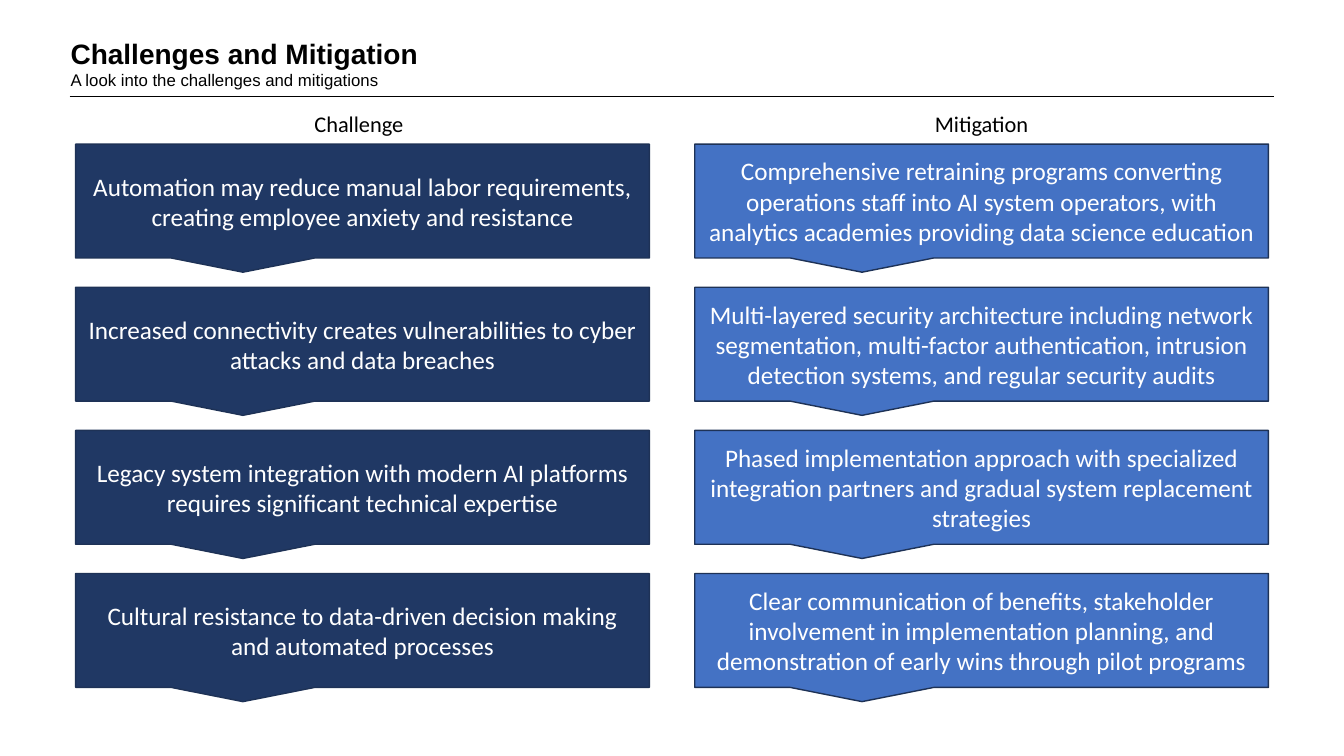
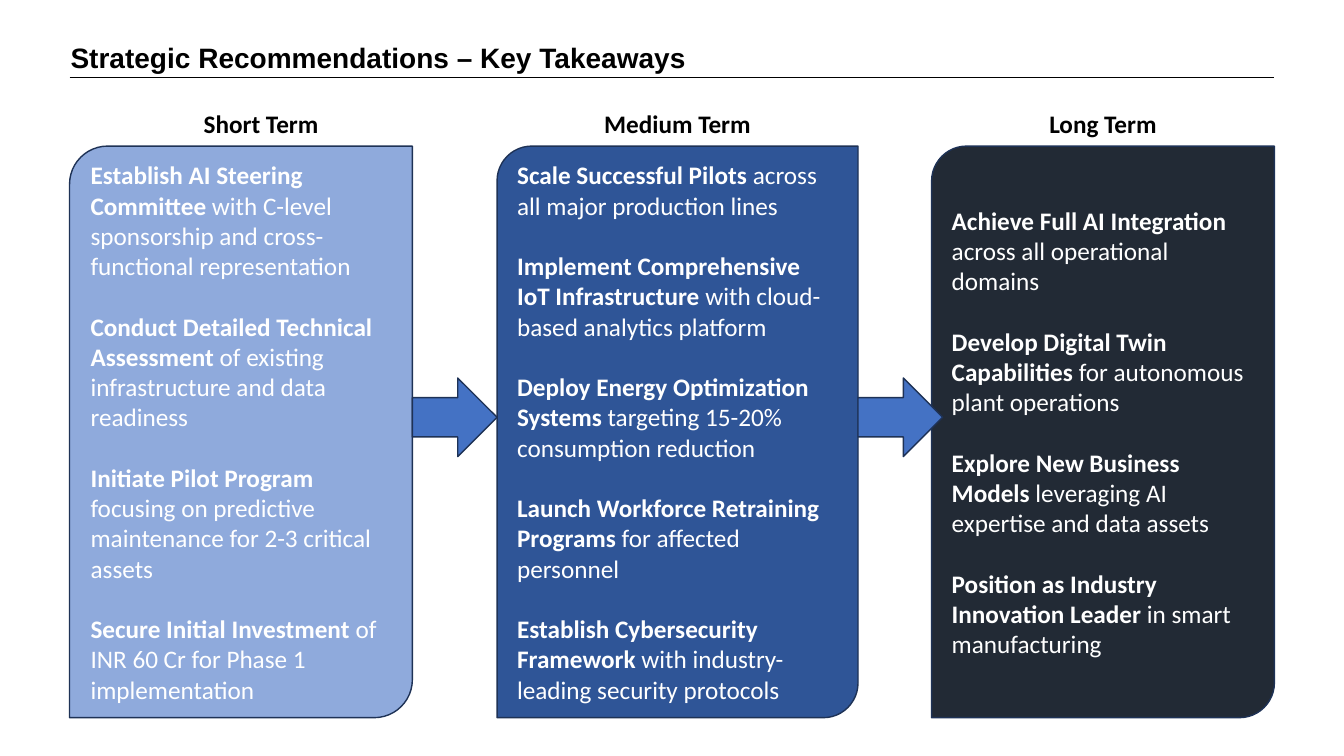
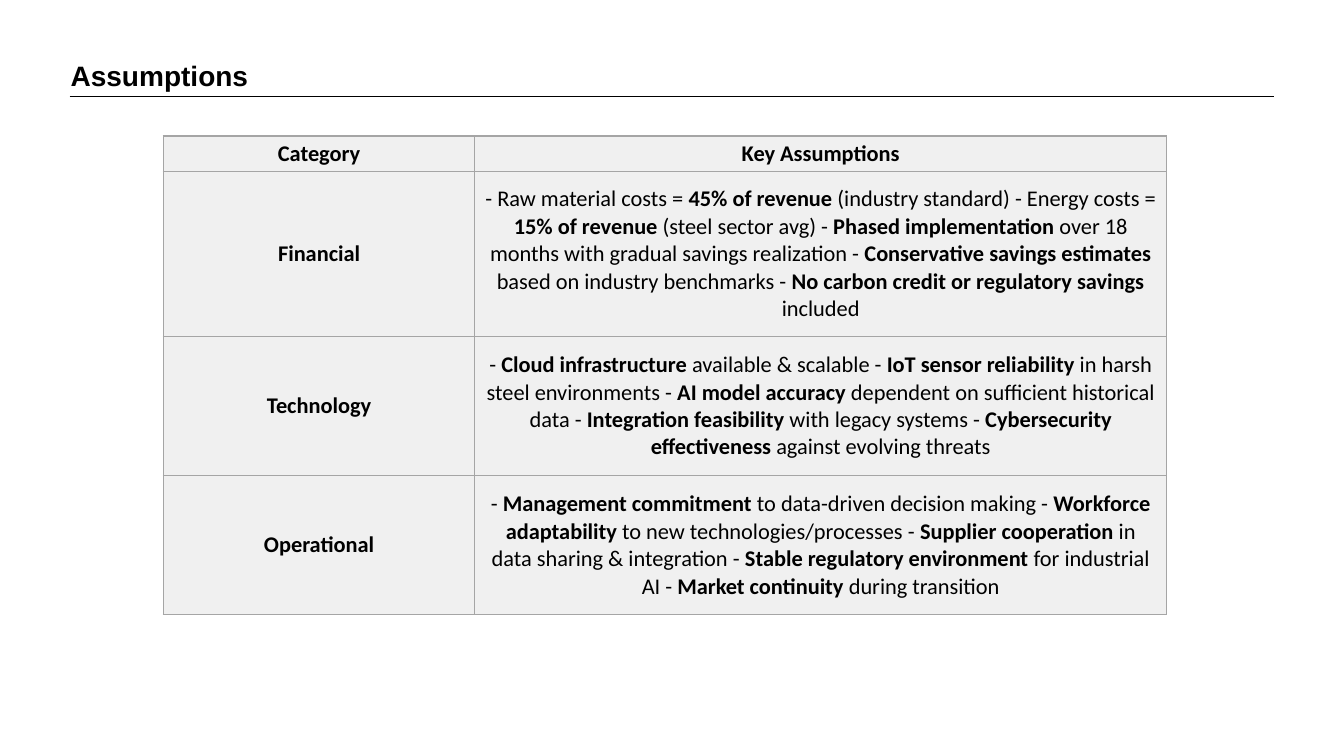
from lxml import etree
from pptx import Presentation
from pptx.dml.color import RGBColor
from pptx.enum.shapes import MSO_CONNECTOR, MSO_SHAPE
from pptx.enum.text import MSO_ANCHOR, PP_ALIGN
from pptx.oxml import parse_xml
from pptx.oxml.ns import nsdecls, qn
from pptx.util import Inches, Pt

COLORS = {
    "black": "000000", "white": "FFFFFF", "outline": "1E3256",
    "navy": "203864", "blue": "4472C4", "light": "8FAADC",
    "mid": "2F5597", "dark": "222A35", "cell": "F0F0F0", "grid": "A5A5A5",
}

CHALLENGES = [
    ("Automation may reduce manual labor requirements, creating employee anxiety and resistance",
     "Comprehensive retraining programs converting operations staff into AI system operators, "
     "with analytics academies providing data science education"),
    ("Increased connectivity creates vulnerabilities to cyber attacks and data breaches",
     "Multi-layered security architecture including network segmentation, multi-factor "
     "authentication, intrusion detection systems, and regular security audits"),
    ("Legacy system integration with modern AI platforms requires significant technical expertise",
     "Phased implementation approach with specialized integration partners and gradual system "
     "replacement strategies"),
    ("Cultural resistance to data-driven decision making and automated processes",
     "Clear communication of benefits, stakeholder involvement in implementation planning, and "
     "demonstration of early wins through pilot programs"),
]

TERMS = [
    ("Short Term", 1.31, 0.69, 3.4, 0.111, "light", [
        "**Establish AI Steering Committee** with C-level sponsorship and cross-functional representation",
        "**Conduct Detailed Technical Assessment** of existing infrastructure and data readiness",
        "**Initiate Pilot Program** focusing on predictive maintenance for 2-3 critical assets",
        "**Secure Initial Investment** of INR 60 Cr for Phase 1 implementation"]),
    ("Medium Term", 5.44, 4.93, 3.58, 0.096, "mid", [
        "**Scale Successful Pilots** across all major production lines",
        "**Implement Comprehensive IoT Infrastructure** with cloud-based analytics platform",
        "**Deploy Energy Optimization Systems** targeting 15-20% consumption reduction",
        "**Launch Workforce Retraining Programs** for affected personnel",
        "**Establish Cybersecurity Framework** with industry-leading security protocols"]),
    ("Long Term", 9.66, 9.24, 3.4, 0.102, "dark", [
        "**Achieve Full AI Integration** across all operational domains",
        "**Develop Digital Twin Capabilities** for autonomous plant operations",
        "**Explore New Business Models** leveraging AI expertise and data assets",
        "**Position as Industry Innovation Leader** in smart manufacturing"]),
]

ASSUMPTIONS = [
    ("**Category**", "**Key Assumptions**"),
    ("**Financial**",
     "- Raw material costs = **45% of revenue** (industry standard) - Energy costs = "
     "**15% of revenue** (steel sector avg) - **Phased implementation** over 18 months with "
     "gradual savings realization - **Conservative savings estimates** based on industry "
     "benchmarks - **No carbon credit or regulatory savings** included"),
    ("**Technology**",
     "- **Cloud infrastructure** available & scalable - **IoT sensor reliability** in harsh "
     "steel environments - **AI model accuracy** dependent on sufficient historical data - "
     "**Integration feasibility** with legacy systems - **Cybersecurity effectiveness** "
     "against evolving threats"),
    ("**Operational**",
     "- **Management commitment** to data-driven decision making - **Workforce adaptability** "
     "to new technologies/processes - **Supplier cooperation** in data sharing & integration - "
     "**Stable regulatory environment** for industrial AI - **Market continuity** during transition"),
]


def rgb(name):
    return RGBColor.from_string(COLORS[name])


def write(tf, text, size=18, font="Calibri", color="black", align=PP_ALIGN.LEFT,
          line=None, before=0, first=True):
    p = tf.paragraphs[0] if first else tf.add_paragraph()
    p.alignment = align
    if line:
        p.line_spacing = Pt(line)
    if before and not first:
        p.space_before = Pt(before)
    for i, part in enumerate(text.split("**")):
        if part:
            r = p.add_run()
            r.text = part
            r.font.size = Pt(size)
            r.font.name = font
            r.font.bold = i % 2 == 1
            r.font.color.rgb = rgb(color)


class Deck:
    def __init__(self):
        self.prs = Presentation()
        self.prs.slide_width = Inches(13.33)
        self.prs.slide_height = Inches(7.5)
        self.s = None

    def slide(self, title, title_top, rule_top, subtitle=None):
        self.s = self.prs.slides.add_slide(self.prs.slide_layouts[6])
        tf = self.box(0.69, title_top, 10.77, 0.55 if subtitle else 0.35)
        tf.margin_left = Inches(0.01)
        tf.margin_top = Inches(0.03)
        tf.margin_right = tf.margin_bottom = 0
        write(tf, f"**{title}**", size=20, font="Arial", line=23.6)
        if subtitle:
            write(tf, subtitle, size=12, font="Arial", line=14.1, first=False)
        self.rule(rule_top)

    def box(self, x, y, w, h):
        tf = self.s.shapes.add_textbox(Inches(x), Inches(y), Inches(w), Inches(h)).text_frame
        tf.word_wrap = True
        return tf

    def rule(self, y):
        sp = self.s.shapes.add_connector(
            MSO_CONNECTOR.STRAIGHT, Inches(0.69), Inches(y), Inches(12.64), Inches(y))
        sp.line.color.rgb = rgb("black")
        sp.line.width = Pt(0.5)
        etree.SubElement(sp._element.spPr, qn("a:effectLst"))

    def label(self, text, x, y, w, h, **fmt):
        write(self.box(x, y, w, h), text, **fmt)

    def shape(self, kind, x, y, w, h, fill, texts=(), adj=None, **fmt):
        sp = self.s.shapes.add_shape(kind, Inches(x), Inches(y), Inches(w), Inches(h))
        sp.shadow.inherit = False
        sp.fill.solid()
        sp.fill.fore_color.rgb = rgb(fill)
        sp.line.color.rgb = rgb("outline")
        sp.line.width = Pt(1)
        if adj is not None:
            sp.adjustments[0] = adj
        tf = sp.text_frame
        tf.word_wrap = True
        tf.vertical_anchor = MSO_ANCHOR.MIDDLE
        for i, text in enumerate(texts):
            write(tf, text, color="white", first=i == 0, **fmt)

    def table(self, rows, x, y, widths, heights):
        table = self.s.shapes.add_table(
            len(rows), len(widths), Inches(x), Inches(y),
            Inches(sum(widths)), Inches(sum(heights))).table
        table.first_row = table.horz_banding = False
        for column, w in zip(table.columns, widths):
            column.width = Inches(w)
        for row, h, texts in zip(table.rows, heights, rows):
            row.height = Inches(h)
            for cell, text in zip(row.cells, texts):
                self.cell(cell, text)

    def cell(self, cell, text):
        tcPr = cell._tc.get_or_add_tcPr()
        for side in "LRTB":
            tcPr.append(parse_xml(
                f'<a:ln{side} {nsdecls("a")} w="12700"><a:solidFill>'
                f'<a:srgbClr val="{COLORS["grid"]}"/></a:solidFill></a:ln{side}>'))
        cell.fill.solid()
        cell.fill.fore_color.rgb = rgb("cell")
        cell.vertical_anchor = MSO_ANCHOR.MIDDLE
        cell.margin_left = cell.margin_right = Inches(0.09)
        cell.margin_top = cell.margin_bottom = Inches(0.04)
        write(cell.text_frame, text, size=16, align=PP_ALIGN.CENTER)


def challenges(deck):
    deck.slide("Challenges and Mitigation", 0.34, 0.96,
               "A look into the challenges and mitigations")
    for row, pair in enumerate(CHALLENGES):
        for x, fill, text in zip((0.75, 6.89), ("navy", "blue"), pair):
            deck.shape(MSO_SHAPE.RECTANGULAR_CALLOUT, x, 1.43 + 1.42 * row, 5.69, 1.13,
                       fill, [text], align=PP_ALIGN.CENTER)
    deck.label("Challenge", 3.02, 1.04, 1.15, 0.37, size=16)
    deck.label("Mitigation", 9.16, 1.04, 1.15, 0.37, size=16, align=PP_ALIGN.CENTER)


def recommendations(deck):
    deck.slide("Strategic Recommendations – Key Takeaways", 0.38, 0.77)
    for term, label_x, x, w, adj, fill, texts in TERMS:
        deck.shape(MSO_SHAPE.ROUND_2_DIAG_RECTANGLE, x, 1.45, w, 5.67, fill, texts,
                   adj=adj, before=21.6)
        deck.label(f"**{term}**", label_x, 1.03, 2.56, 0.4, align=PP_ALIGN.CENTER)
    for _, _, x, w, *_ in TERMS[:-1]:
        deck.shape(MSO_SHAPE.RIGHT_ARROW, x + w, 3.75, 0.84, 0.78, "blue")


def assumptions(deck):
    deck.slide("Assumptions", 0.56, 0.96)
    deck.table(ASSUMPTIONS, 1.62, 1.35, (3.09, 6.86), (0.35, 1.64, 1.38, 1.38))


def main():
    deck = Deck()
    challenges(deck)
    recommendations(deck)
    assumptions(deck)
    deck.prs.save("out.pptx")


if __name__ == "__main__":
    main()
